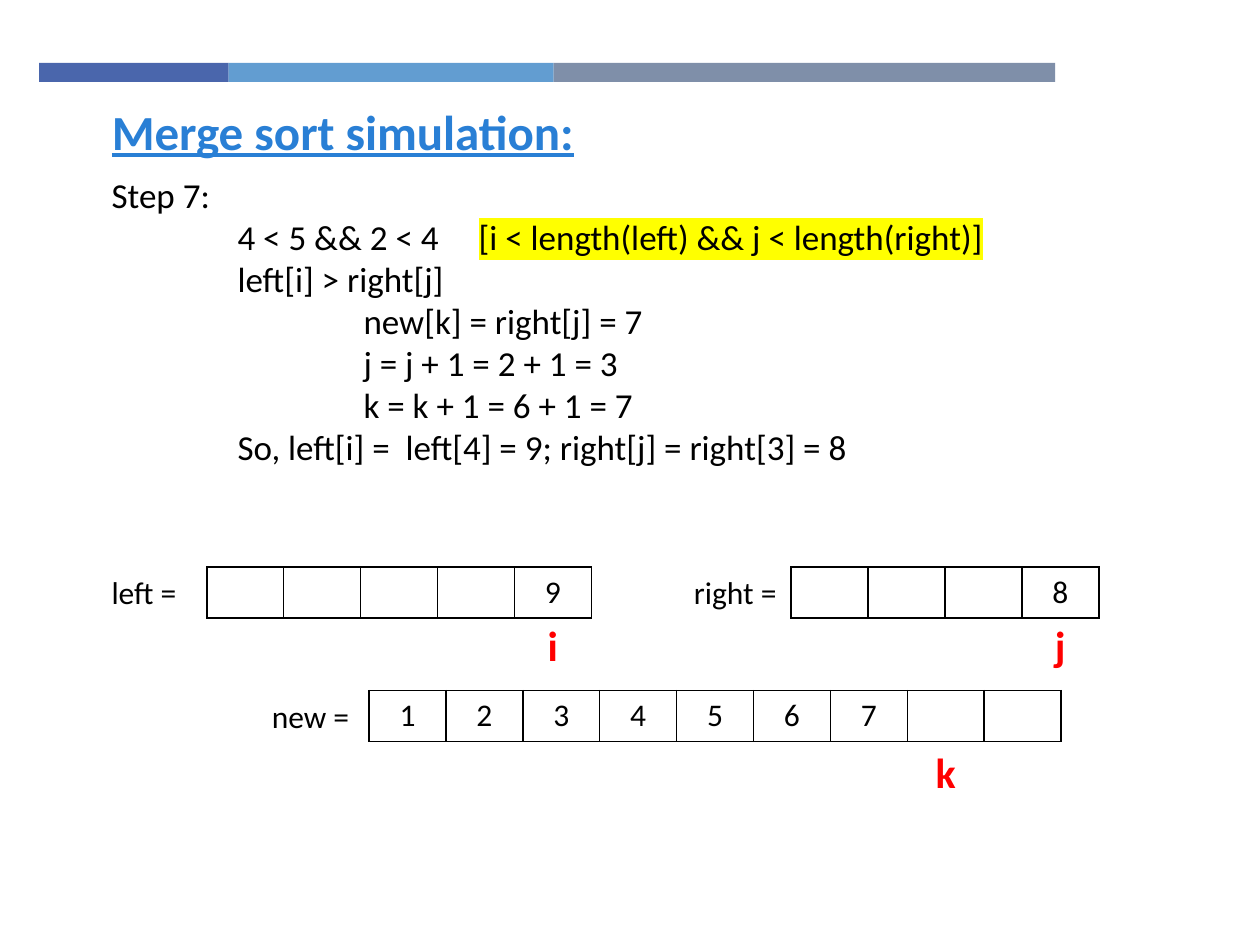
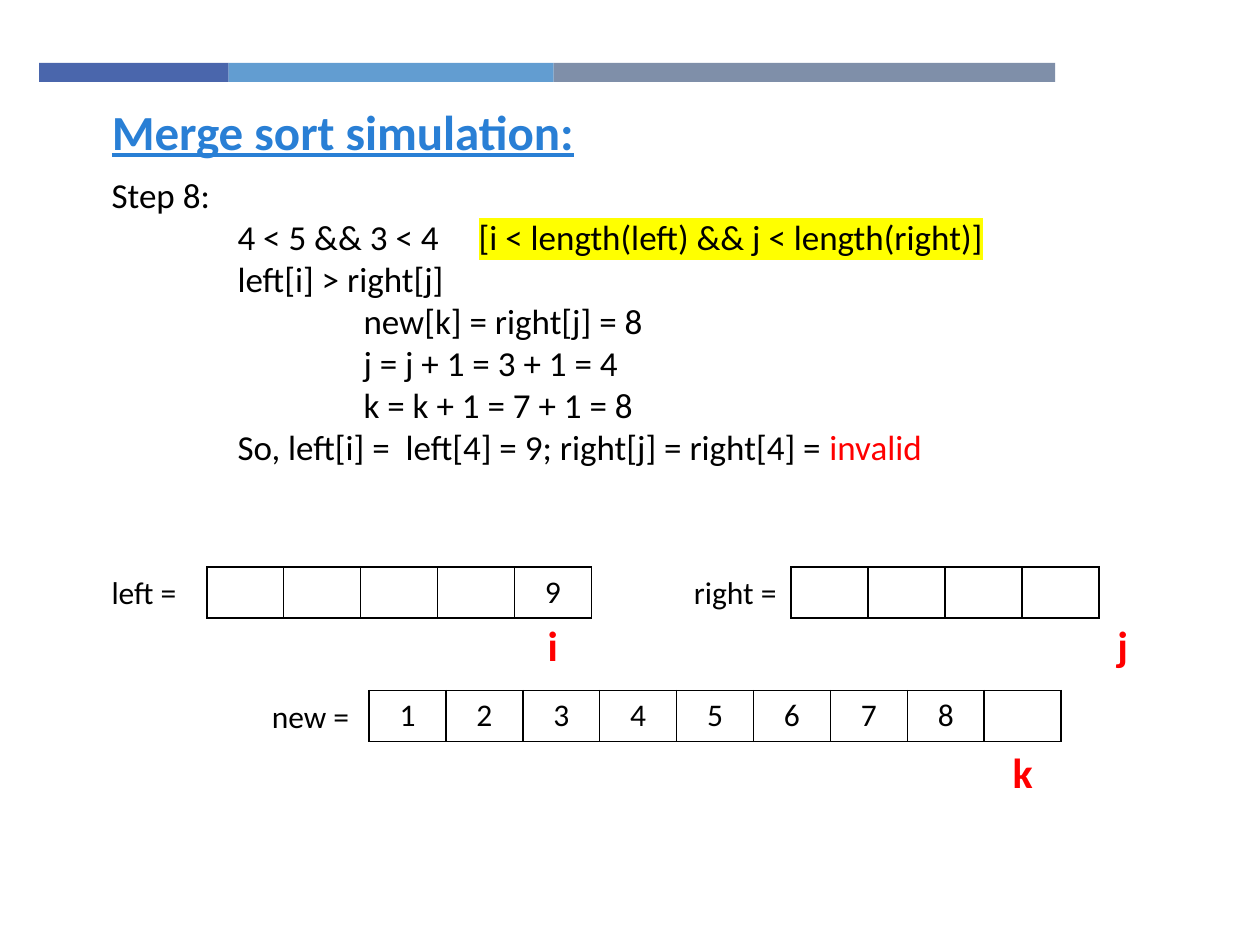
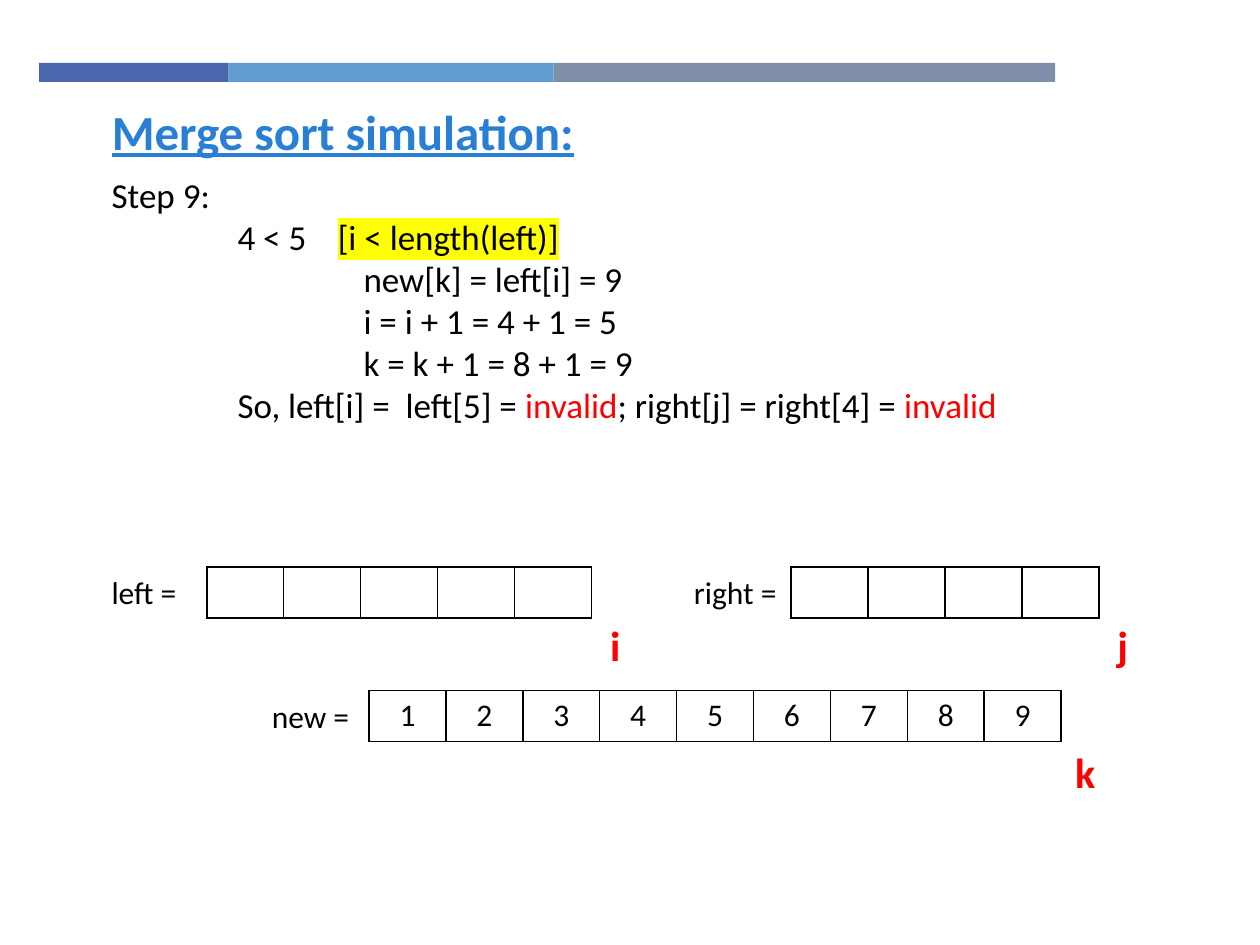
import dataclasses

import lxml.etree
import pptx
import pptx.dml.color
import pptx.enum.shapes
import pptx.enum.text
import pptx.oxml.ns
import pptx.util

Cm = pptx.util.Cm
Pt = pptx.util.Pt
RGBColor = pptx.dml.color.RGBColor
ALIGN = pptx.enum.text.PP_ALIGN
qn = pptx.oxml.ns.qn

FONT = "Calibri"
BLACK = RGBColor(0x00, 0x00, 0x00)
WHITE = RGBColor(0xFF, 0xFF, 0xFF)
RED = RGBColor(0xFF, 0x00, 0x00)
YELLOW = RGBColor(0xFF, 0xFF, 0x00)
TITLE_BLUE = RGBColor(0x29, 0x7F, 0xD5)
BANDS = [
    (RGBColor(0x4A, 0x66, 0xAC), 3.82),
    (RGBColor(0x62, 0x9D, 0xD1), 6.55),
    (RGBColor(0x7F, 0x8F, 0xA9), 10.11),
]

MARGIN = 2.0
TAB = 2.54
CELL_WIDTH = 1.55
CELL_HEIGHT = 1.03
LABEL_WIDTH = 2.21
MARKER_WIDTH = 0.97


@dataclasses.dataclass
class ArrayPlace:
    """Where an array, its label and its index marker stand, in centimetres."""

    name: str
    index: str
    label_left: float
    left: float
    top: float
    marker_drop: float


PLACES = [
    ArrayPlace("left", "i", MARGIN, 4.17, 11.43, 0.93),
    ArrayPlace("right", "j", 13.74, 15.95, 11.43, 0.93),
    ArrayPlace("new", "k", 5.23, 7.44, 13.92, 1.0),
]


@dataclasses.dataclass
class Step:
    """One merge step: lines of (text, mark) parts, and each array with its index."""

    number: int
    condition_tab: float
    lines: list
    arrays: list


def right_step(number, j, k, value, outcome, right):
    """Describe a step that takes the next value from the right array."""
    lines = [
        [(f"\t4 < 5 && {j} < 4\t", None), ("[i < length(left) && j < length(right)]", YELLOW)],
        [("\tleft[i] > right[j]", None)],
        [(f"\t\tnew[k] = right[j] = {value}", None)],
        [(f"\t\tj = j + 1 = {j} + 1 = {j + 1}", None)],
        [(f"\t\tk = k + 1 = {k} + 1 = {k + 1}", None)],
        [(f"\tSo, left[i] =  left[4] = 9; right[j] = right[{j + 1}] = ", None), outcome],
    ]
    arrays = [(["", "", "", "", "9"], 4), (right, j + 1), (merged(k + 1), k + 1)]
    return Step(number, 7.4, lines, arrays)


def merged(count):
    """Return the new array with its first values filled in."""
    return [str(n) if n <= count else "" for n in range(1, 10)]


STEPS = [
    right_step(7, 2, 6, 7, ("8", None), ["", "", "", "8"]),
    right_step(8, 3, 7, 8, ("invalid", RED), [""] * 4),
    Step(
        9,
        4.56,
        [
            [("\t4 < 5\t", None), ("[i < length(left)]", YELLOW)],
            [("\t\tnew[k] = left[i] = 9", None)],
            [("\t\ti = i + 1 = 4 + 1 = 5", None)],
            [("\t\tk = k + 1 = 8 + 1 = 9", None)],
            [
                ("\tSo, left[i] =  left[5] = ", None),
                ("invalid", RED),
                ("; right[j] = right[4] = ", None),
                ("invalid", RED),
            ],
        ],
        [([""] * 5, 5), ([""] * 4, 4), (merged(9), 9)],
    ),
]


def style(paragraph, size, color=BLACK, bold=False, align=ALIGN.LEFT):
    """Set the font and alignment of a paragraph."""
    paragraph.alignment = align
    paragraph.font.name = FONT
    paragraph.font.size = Pt(size)
    paragraph.font.bold = bold
    paragraph.font.color.rgb = color


def add_text(slide, box, text, size, **look):
    """Add a wrapped text box with one styled paragraph and return its frame."""
    frame = slide.shapes.add_textbox(*map(Cm, box)).text_frame
    frame.word_wrap = True
    frame.paragraphs[0].text = text
    style(frame.paragraphs[0], size, **look)
    return frame


def set_tabs(paragraph, stops):
    """Give a paragraph left tab stops, in centimetres."""
    properties = paragraph._p.get_or_add_pPr()
    tabs = lxml.etree.Element(qn("a:tabLst"))
    for stop in stops:
        lxml.etree.SubElement(tabs, qn("a:tab"), pos=str(Cm(stop)), algn="l")
    properties.insert(0, tabs)


def highlight(run, color):
    """Lay a highlight colour behind a run."""
    mark = lxml.etree.SubElement(run._r.get_or_add_rPr(), qn("a:highlight"))
    lxml.etree.SubElement(mark, qn("a:srgbClr"), val=str(color))


def add_bands(slide, left, top, height):
    """Draw the row of coloured bands shared by every slide."""
    for color, width in BANDS:
        band = slide.shapes.add_shape(
            pptx.enum.shapes.MSO_SHAPE.RECTANGLE, Cm(left), Cm(top), Cm(width), Cm(height)
        )
        band.shadow.inherit = False
        band.fill.solid()
        band.fill.fore_color.rgb = color
        band.line.fill.background()
        left += width


def add_title(slide, left, top, width, height):
    """Place and format the slide title."""
    title = slide.shapes.title
    title.left, title.top, title.width, title.height = map(Cm, (left, top, width, height))
    frame = title.text_frame
    frame.text = "Merge sort simulation:"
    frame.word_wrap = True
    frame.auto_size = pptx.enum.text.MSO_AUTO_SIZE.NONE
    frame.vertical_anchor = pptx.enum.text.MSO_ANCHOR.TOP
    style(frame.paragraphs[0], 28, TITLE_BLUE, bold=True)
    frame.paragraphs[0].font.underline = True


def add_explanation(slide, step, box):
    """Write the step heading and its lines of reasoning."""
    frame = add_text(slide, box, f"Step {step.number}:", 20)
    for number, line in enumerate(step.lines):
        paragraph = frame.add_paragraph()
        style(paragraph, 20)
        set_tabs(paragraph, [TAB, 2 * TAB if number else step.condition_tab])
        for text, mark in line:
            run = paragraph.add_run()
            run.text = text
            if mark == YELLOW:
                highlight(run, mark)
            elif mark:
                run.font.color.rgb = mark


def format_cell(cell, value):
    """Fill one array cell and give it thin black borders."""
    properties = cell._tc.get_or_add_tcPr()
    for side in ("a:lnL", "a:lnR", "a:lnT", "a:lnB"):
        border = lxml.etree.SubElement(properties, qn(side), w=str(Pt(1)))
        fill = lxml.etree.SubElement(border, qn("a:solidFill"))
        lxml.etree.SubElement(fill, qn("a:srgbClr"), val=str(BLACK))
    cell.fill.solid()
    cell.fill.fore_color.rgb = WHITE
    cell.text = value
    style(cell.text_frame.paragraphs[0], 18, align=ALIGN.CENTER)


def add_array(slide, place, values, index):
    """Draw an array with its label and the marker under its current index."""
    width = CELL_WIDTH * len(values)
    table = slide.shapes.add_table(
        1, len(values), Cm(place.left), Cm(place.top), Cm(width), Cm(CELL_HEIGHT)
    ).table
    table.first_row = table.horz_banding = False
    for column, value in enumerate(values):
        table.columns[column].width = Cm(CELL_WIDTH)
        format_cell(table.cell(0, column), value)

    label_box = (place.label_left, place.top, LABEL_WIDTH, CELL_HEIGHT)
    add_text(slide, label_box, f"{place.name} =", 18)

    marker_left = place.left + index * CELL_WIDTH
    if index < len(values):
        marker_left += (CELL_WIDTH - MARKER_WIDTH) / 2
    marker_box = (marker_left, place.top + place.marker_drop, MARKER_WIDTH, 1.27)
    add_text(slide, marker_box, place.index, 24, color=RED, bold=True, align=ALIGN.CENTER)


def add_step_slide(deck, step):
    """Build the slide of one merge step."""
    slide = deck.slides.add_slide(deck.slide_layouts[5])
    add_bands(slide, 0.79, 1.27, 0.38)
    add_title(slide, MARGIN, 1.91, 20.93, 1.45)
    add_explanation(slide, step, (MARGIN, 3.38, 20.73, 7.01))
    for place, (values, index) in zip(PLACES, step.arrays):
        add_array(slide, place, values, index)


def main():
    """Build and save the deck."""
    deck = pptx.Presentation()
    deck.slide_width, deck.slide_height = Cm(25.4), Cm(19.05)
    for step in STEPS:
        add_step_slide(deck, step)
    deck.save("out.pptx")


if __name__ == "__main__":
    main()
